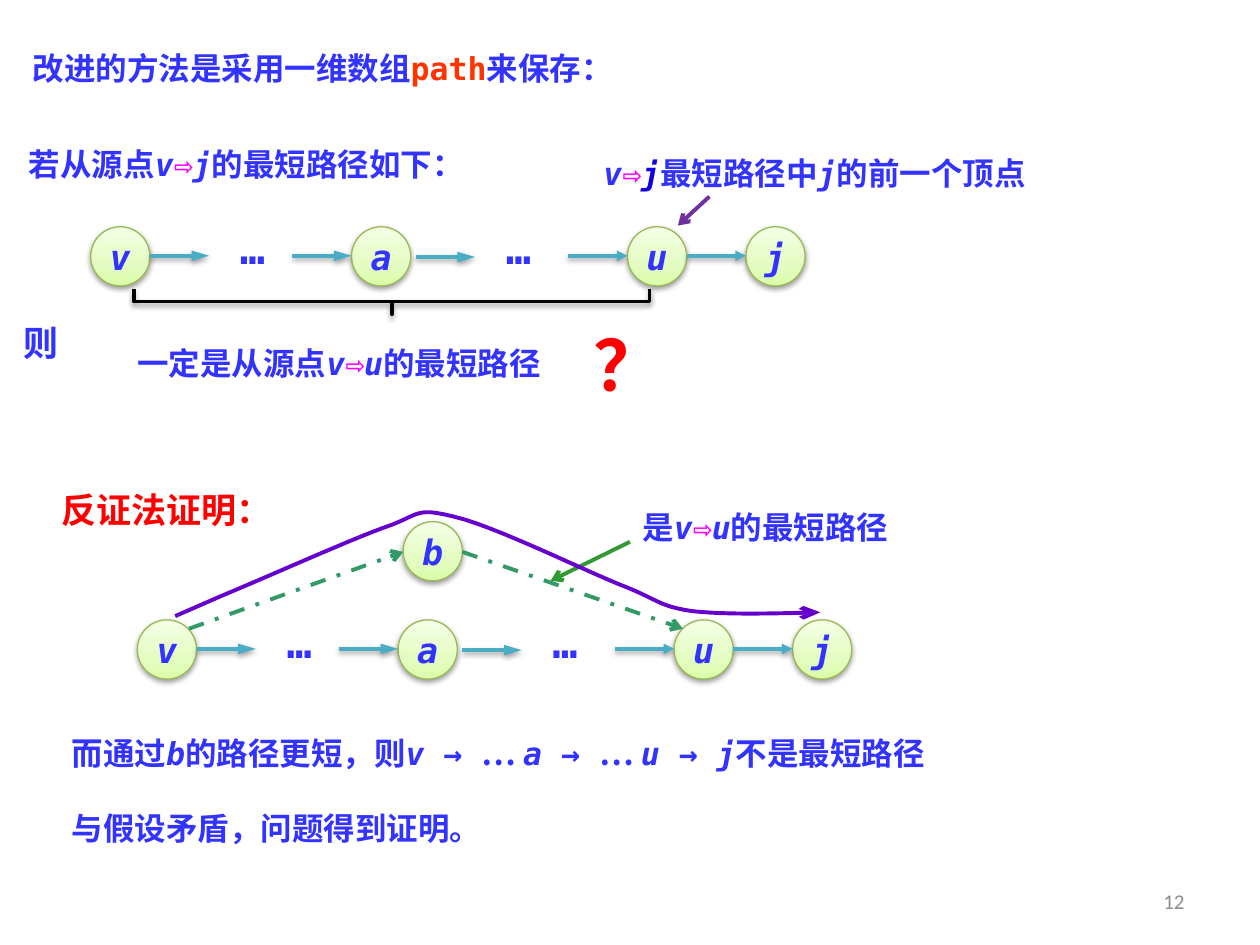
"""Build the slide that proves a shortest path's predecessor path is also shortest."""
from dataclasses import dataclass
from typing import Optional

import lxml.etree
import pptx
import pptx.dml.color
import pptx.enum.dml
import pptx.enum.shapes
import pptx.enum.text
import pptx.oxml.ns
import pptx.util

Inches = pptx.util.Inches
Pt = pptx.util.Pt
qn = pptx.oxml.ns.qn
Align = pptx.enum.text.PP_ALIGN
Anchor = pptx.enum.text.MSO_ANCHOR
AutoSize = pptx.enum.text.MSO_AUTO_SIZE
Shapes = pptx.enum.shapes.MSO_SHAPE


@dataclass(frozen=True)
class Theme:
    mono: str = "DejaVu Sans Mono"
    chinese: str = "Noto Sans CJK SC"
    number: str = "Calibri"
    blue: str = "3333FF"
    deep_blue: str = "1000E4"
    orange: str = "FF3300"
    red: str = "FF0000"
    magenta: str = "FF00FF"
    gray: str = "8C8C8C"
    black: str = "000000"
    edge: str = "4BACC6"
    detour: str = "339966"
    pointer_green: str = "339933"
    pointer_purple: str = "7030A0"
    route: str = "6600CC"
    node_line: str = "98B955"
    node_stops: tuple = ((0, "DAFDA7"), (35, "E4FCC2"), (100, "F5FFE7"))
    small: int = 12
    body: int = 18
    large: int = 20
    dots: int = 24
    question: int = 40


THEME = Theme()
NODE_SIZE = 0.47


@dataclass(frozen=True)
class Span:
    text: str
    color: Optional[str] = None
    italic: bool = False
    font: Optional[str] = None


@dataclass(frozen=True)
class Label:
    box: tuple
    spans: tuple
    size: int = THEME.body
    color: str = THEME.blue
    font: str = THEME.mono
    bold: bool = True
    inset: bool = True
    align: Align = Align.LEFT
    anchor: Anchor = Anchor.TOP
    auto_size: AutoSize = AutoSize.SHAPE_TO_FIT_TEXT


@dataclass(frozen=True)
class Arrow:
    start: tuple
    end: tuple
    color: str
    width: float = 2.25
    head: str = "arrow"
    head_length: str = "med"
    dashed: bool = False
    shadow: bool = False


def var(name: str, color: Optional[str] = None) -> Span:
    return Span(name, color, italic=True)


def leads_to(source: str, target: str, target_color: Optional[str] = None) -> tuple:
    return var(source), Span("⇨", THEME.magenta), var(target, target_color)


STEP = Span(" → ")
ELLIPSIS = Span("… ", font=THEME.chinese)
TITLE = Label((0.16, 0.28, 6.93, 0.43),
              (Span("改进的方法是采用一维数组"), Span("path", THEME.orange), Span("来保存：")))
LABELS = (
    Label((0.23, 1.15, 5.43, 0.3),
          (Span("若从源点"), *leads_to("v", "j"), Span("的最短路径如下：")), inset=False),
    Label((0.19, 2.55, 0.39, 0.34), (Span("则"),), THEME.large, inset=False),
    Label((1.09, 2.73, 4.03, 0.3),
          (Span("一定是从源点"), *leads_to("v", "u"), Span("的最短路径")), inset=False),
    Label((4.61, 2.5, 0.55, 0.77), (Span("？"),), THEME.question, THEME.red, align=Align.CENTER),
    Label((0.39, 3.83, 1.95, 0.44), (Span("反证法证明："),), THEME.large, THEME.red, THEME.chinese),
    Label((0.47, 5.78, 7.81, 0.4),
          (Span("而通过"), var("b"), Span("的路径更短，则"), var("v"), STEP, ELLIPSIS, var("a"),
           STEP, ELLIPSIS, var("u"), STEP, var("j"), Span("不是最短路径"))),
    Label((5, 3.98, 2.81, 0.4), (Span("是"), *leads_to("v", "u"), Span("的最短路径"))),
    Label((0.47, 6.37, 5.08, 0.4), (Span("与假设矛盾，问题得到证明。"),)),
    Label((4.69, 1.17, 4.61, 0.4),
          (*leads_to("v", "j", THEME.deep_blue), Span("最短路径中"), var("j"), Span("的前一个顶点"))),
    Label((7.17, 6.95, 2.33, 0.4), (Span("12"),), THEME.small, THEME.gray, THEME.number, False,
          align=Align.RIGHT, anchor=Anchor.MIDDLE, auto_size=AutoSize.NONE),
)
ARROWS = (
    Arrow((1.5, 4.99), (3.2, 4.38), THEME.detour, dashed=True),
    Arrow((3.67, 4.38), (5.42, 4.99), THEME.detour, dashed=True),
    Arrow((5, 4.3), (4.37, 4.61), THEME.pointer_green),
    Arrow((5.63, 1.56), (5.38, 1.79), THEME.pointer_purple),
)
CHAIN_ORIGINS = ((0.72, 1.8), (1.09, 4.92))
CHAIN_NODES = (("v", 0), ("a", 2.07), ("u", 4.26), ("j", 5.2))
CHAIN_EDGES = ((0.47, 0.23, "lg"), (1.6, 0.23, "lg"), (2.58, 0.24, "lg"),
               (3.79, 0.23, "med"), (4.73, 0.23, "med"))
CHAIN_DOTS = (0.97, 3.08)
ROUTE_START = (1.39, 4.89)
ROUTE_CURVES = (
    ((1.78, 4.72), (2.05, 4.61), (2.74, 4.3), (3.04, 4.19)),
    ((3.04, 4.19), (3.34, 4.09), (3.28, 4.02), (3.6, 4.1)),
    ((3.6, 4.1), (3.91, 4.17), (4.6, 4.51), (4.92, 4.64)),
    ((4.92, 4.64), (5.23, 4.76), (5.22, 4.81), (5.49, 4.85)),
    ((5.49, 4.85), (5.75, 4.88), (6.13, 4.87), (6.51, 4.86)),
)


def rgb(color: str) -> pptx.dml.color.RGBColor:
    return pptx.dml.color.RGBColor.from_string(color)


def add_element(parent, tag: str, **attributes: str):
    return lxml.etree.SubElement(parent, qn(tag), attributes)


def set_line(shape, color: str, width: float) -> None:
    shape.line.color.rgb = rgb(color)
    shape.line.width = Pt(width)


def set_effects(shape, shadow: bool) -> None:
    effects = add_element(shape._element.spPr, "a:effectLst")
    if shadow:
        outer = add_element(effects, "a:outerShdw", blurRad="40000", dist="20000",
                            dir="5400000", rotWithShape="0")
        add_element(add_element(outer, "a:srgbClr", val=THEME.black), "a:alpha", val="38000")


def set_head(shape, kind: str, length: str) -> None:
    add_element(shape.line._get_or_add_ln(), "a:tailEnd", type=kind, w="med", len=length)


def write_text(shape, label: Label, wrap: bool = True) -> None:
    frame = shape.text_frame
    frame.word_wrap = wrap
    frame.auto_size = label.auto_size
    frame.vertical_anchor = label.anchor
    if not label.inset:
        frame.margin_left = frame.margin_top = frame.margin_right = frame.margin_bottom = 0
    paragraph = frame.paragraphs[0]
    paragraph.alignment = label.align
    font = paragraph.font
    font.name, font.size, font.bold = label.font, Pt(label.size), label.bold
    font.color.rgb = rgb(label.color)
    add_element(paragraph._p.pPr.find(qn("a:defRPr")), "a:ea", typeface=THEME.chinese)
    for span in label.spans:
        run = paragraph.add_run()
        run.text = span.text
        if span.color:
            run.font.color.rgb = rgb(span.color)
        if span.italic:
            run.font.italic = True
        if span.font:
            run.font.name = span.font


def add_label(slide, label: Label) -> None:
    write_text(slide.shapes.add_textbox(*map(Inches, label.box)), label)


def add_arrow(slide, arrow: Arrow) -> None:
    connector = slide.shapes.add_connector(
        pptx.enum.shapes.MSO_CONNECTOR.STRAIGHT, *map(Inches, arrow.start + arrow.end))
    set_line(connector, arrow.color, arrow.width)
    if arrow.dashed:
        connector.line.dash_style = pptx.enum.dml.MSO_LINE.DASH_DOT
    set_head(connector, arrow.head, arrow.head_length)
    set_effects(connector, arrow.shadow)


def add_node(slide, name: str, left: float, top: float) -> None:
    box = (left, top, NODE_SIZE, NODE_SIZE)
    node = slide.shapes.add_shape(Shapes.OVAL, *map(Inches, box))
    node.fill.gradient()
    node.fill.gradient_angle = 90
    stops = node._element.spPr.find(qn("a:gradFill")).find(qn("a:gsLst"))
    stops.clear()
    for position, color in THEME.node_stops:
        add_element(add_element(stops, "a:gs", pos=str(position * 1000)), "a:srgbClr", val=color)
    set_line(node, THEME.node_line, 0.75)
    set_effects(node, shadow=True)
    write_text(node, Label(box, (var(name),), THEME.large, align=Align.CENTER,
                           anchor=Anchor.MIDDLE, auto_size=AutoSize.NONE), wrap=False)


def add_chain(slide, left: float, top: float) -> None:
    for name, offset in CHAIN_NODES:
        add_node(slide, name, left + offset, top)
    for offset, drop, length in CHAIN_EDGES:
        start, height = left + offset, top + drop
        add_arrow(slide, Arrow((start, height), (start + NODE_SIZE, height), THEME.edge, 2,
                               "triangle", length, shadow=True))
    for offset in CHAIN_DOTS:
        add_label(slide, Label((left + offset, top - 0.03, 0.63, 0.4), (Span("…"),), THEME.dots,
                               inset=False, align=Align.CENTER))


def curve_point(curve: tuple, t: float) -> tuple:
    weights = ((1 - t) ** 3, 3 * t * (1 - t) ** 2, 3 * t ** 2 * (1 - t), t ** 3)
    return tuple(Inches(sum(w * point[axis] for w, point in zip(weights, curve)))
                 for axis in (0, 1))


def add_route(slide, steps: int = 12) -> None:
    builder = slide.shapes.build_freeform(*map(Inches, ROUTE_START))
    builder.add_line_segments([curve_point(curve, step / steps) for curve in ROUTE_CURVES
                               for step in range(steps + 1)], close=False)
    route = builder.convert_to_shape()
    route.fill.background()
    set_line(route, THEME.route, 2.25)
    set_head(route, "arrow", "lg")
    set_effects(route, shadow=False)


def add_brace(slide) -> None:
    brace = slide.shapes.add_shape(Shapes.RIGHT_BRACE, *map(Inches, (3.01, 0.35, 0.2, 4.09)))
    brace.rotation = 90
    brace.adjustments[0], brace.adjustments[1] = 0, 0.5
    brace.fill.background()
    set_line(brace, THEME.black, 2)
    set_effects(brace, shadow=True)


def main() -> None:
    presentation = pptx.Presentation()
    presentation.slide_width, presentation.slide_height = Inches(10), Inches(7.5)
    slide = presentation.slides.add_slide(presentation.slide_layouts[5])
    title = slide.shapes.title
    title.left, title.top, title.width, title.height = map(Inches, TITLE.box)
    write_text(title, TITLE)
    title.text_frame.paragraphs[0].line_spacing = 1.2
    for label in LABELS:
        add_label(slide, label)
    for origin in CHAIN_ORIGINS:
        add_chain(slide, *origin)
    add_node(slide, "b", 3.2, 4.14)
    for arrow in ARROWS:
        add_arrow(slide, arrow)
    add_route(slide)
    add_brace(slide)
    presentation.save("out.pptx")


if __name__ == "__main__":
    main()
